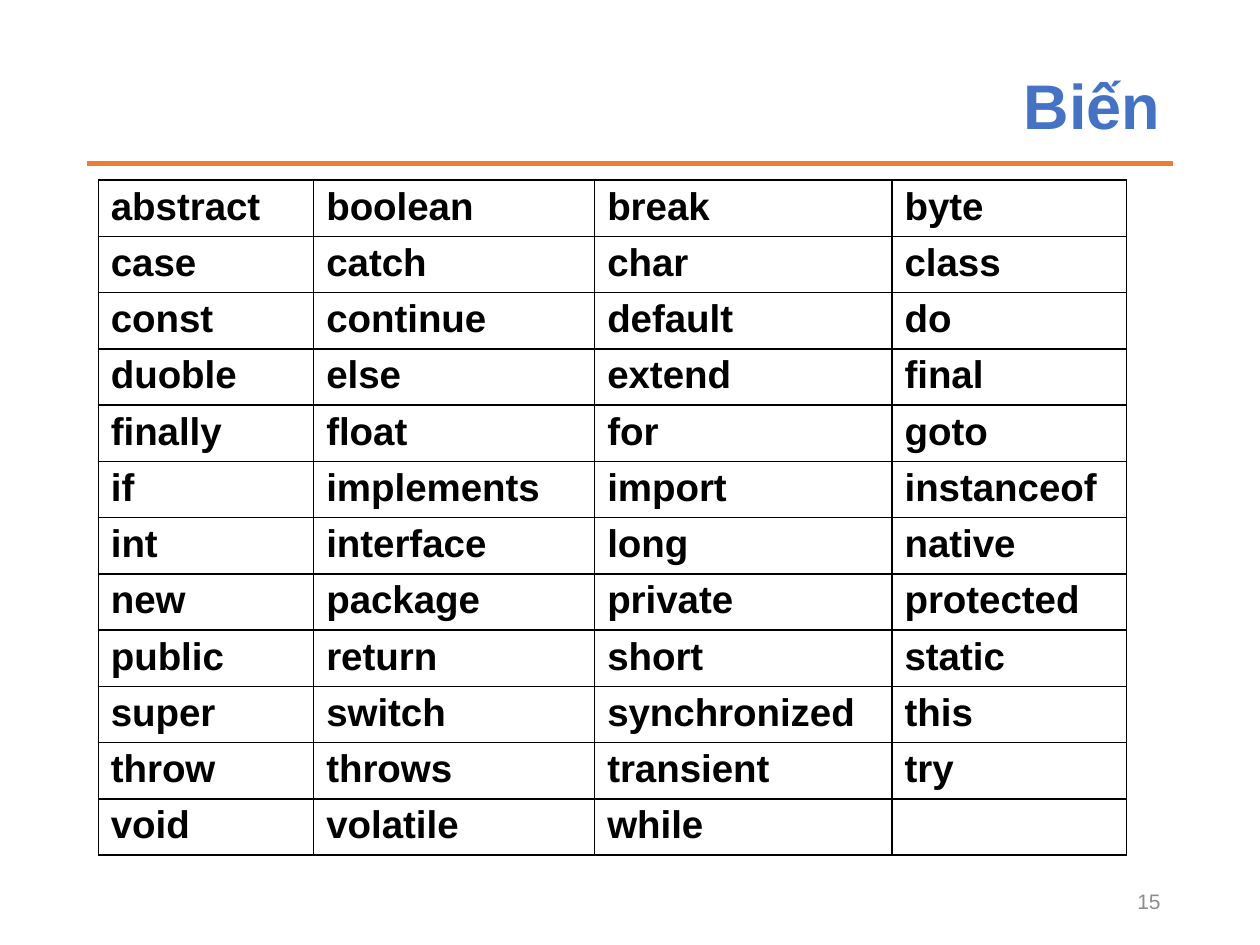
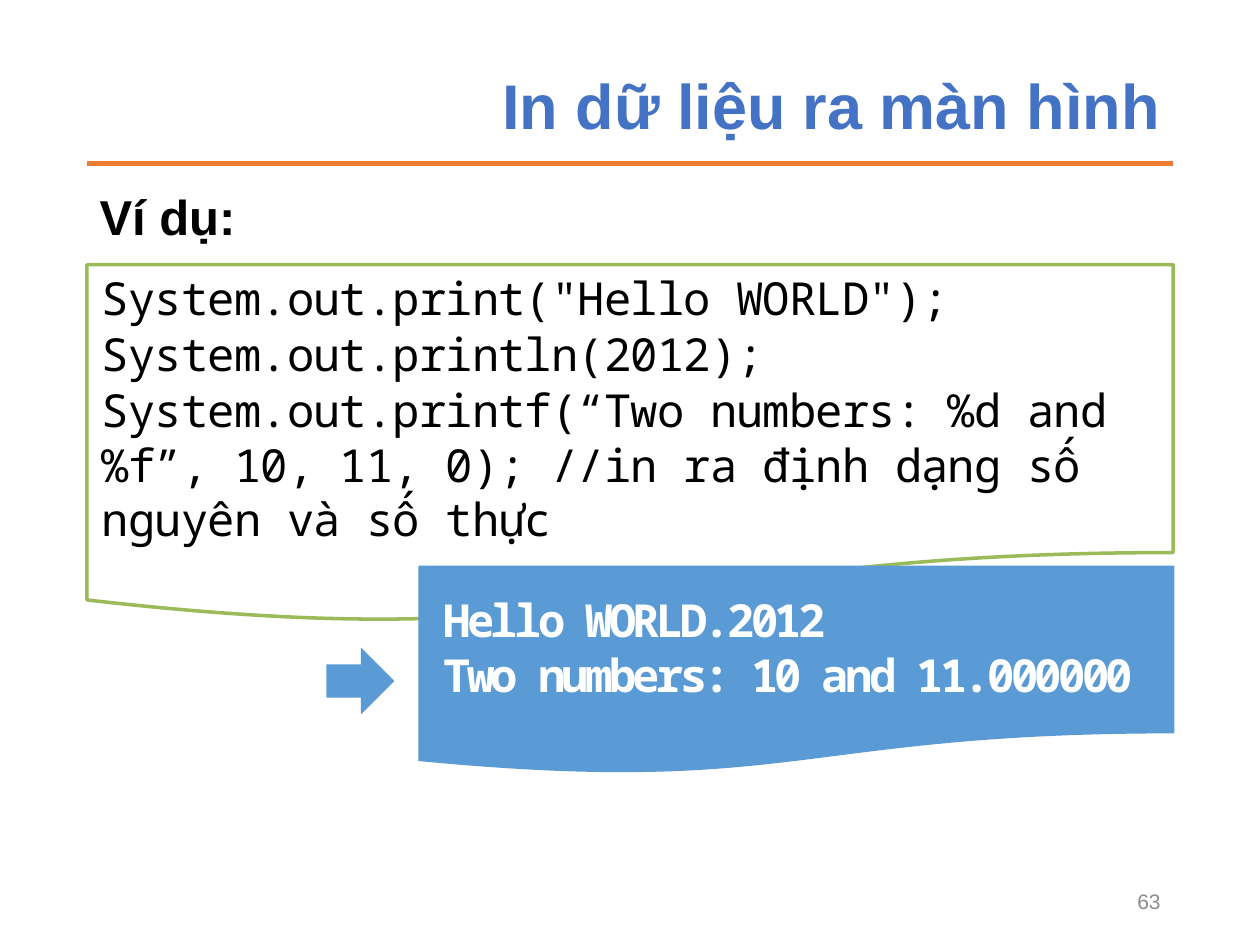
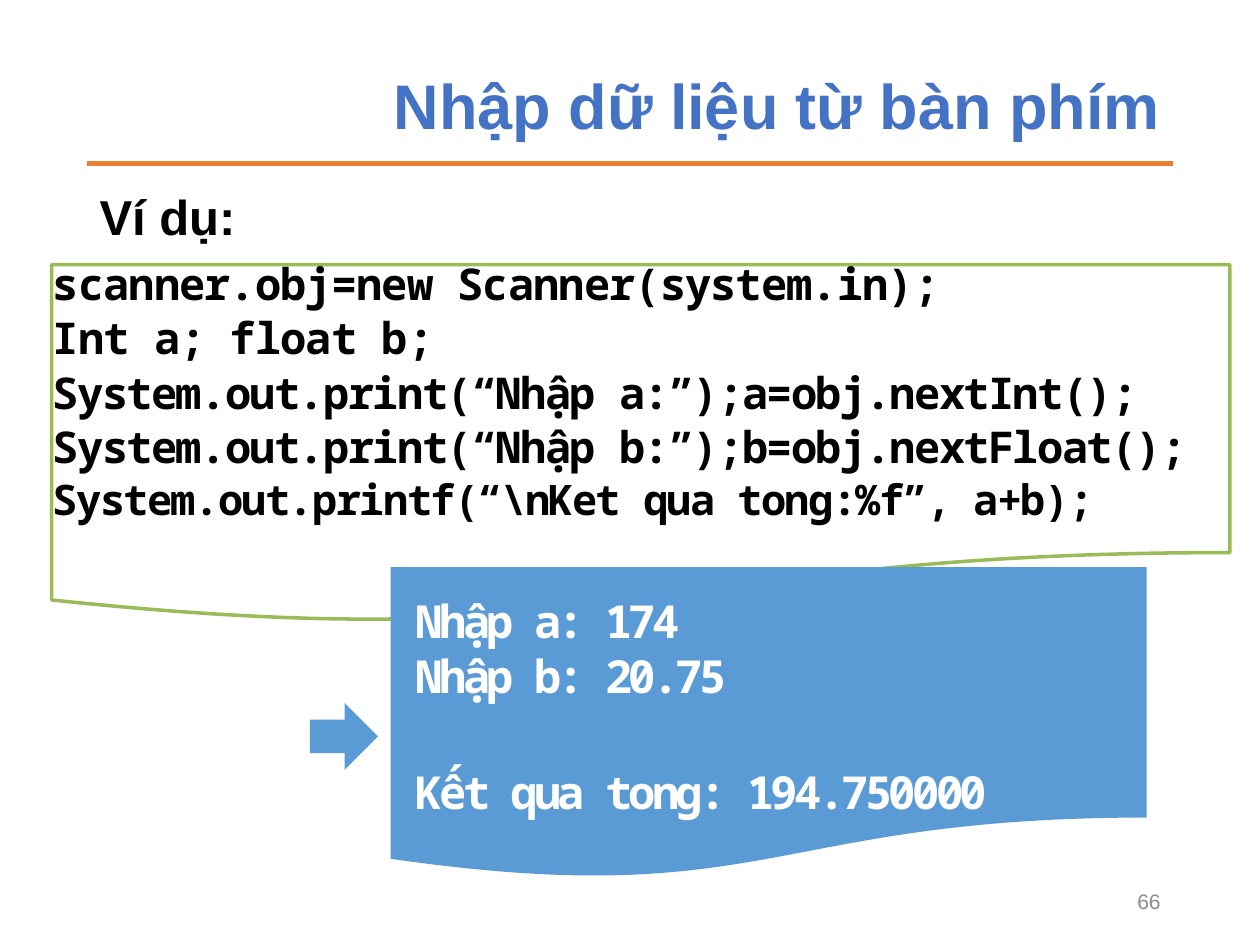
from lxml import etree
from pptx import Presentation
from pptx.dml.color import RGBColor
from pptx.enum.shapes import MSO_CONNECTOR, MSO_SHAPE
from pptx.enum.text import MSO_ANCHOR, MSO_AUTO_SIZE, PP_ALIGN
from pptx.oxml.ns import qn
from pptx.util import Inches, Pt

STRAIGHT = MSO_CONNECTOR.STRAIGHT
DOCUMENT = MSO_SHAPE.FLOWCHART_DOCUMENT
ARROW = MSO_SHAPE.RIGHT_ARROW
MIDDLE, TOP = MSO_ANCHOR.MIDDLE, MSO_ANCHOR.TOP
RIGHT, JUSTIFY = PP_ALIGN.RIGHT, PP_ALIGN.JUSTIFY
NO_FIT, GROW = MSO_AUTO_SIZE.NONE, MSO_AUTO_SIZE.SHAPE_TO_FIT_TEXT

TITLE_BLUE, ORANGE, GREEN, BLUE = "4472C4", "ED7D31", "9BBB59", "5B9BD5"
BLACK, WHITE, GRAY = "000000", "FFFFFF", "8C8C8C"
SANS, MONO = "Arial", "Noto Sans Mono"

MARGIN, CONTENT_WIDTH = 0.69, 8.62
TITLE_BOX = (MARGIN, 0.53, CONTENT_WIDTH, 0.68)
BODY_BOX = (MARGIN, 1.44, CONTENT_WIDTH, 5.7)
NUMBER_BOX = (7.06, 6.95, 2.25, 0.4)
RULE_TOP = 1.3
ARROW_SIZE = (0.54, 0.53)

KEYWORDS = """
abstract boolean break byte
case catch char class
const continue default do
duoble else extend final
finally float for goto
if implements import instanceof
int interface long native
new package private protected
public return short static
super switch synchronized this
throw throws transient try
void volatile while
"""


def color(value):
    """Turn a hex string into a colour."""
    return RGBColor.from_string(value)


def place(item, box):
    """Move a shape to a box given in inches."""
    item.left, item.top, item.width, item.height = map(Inches, box)


def style_para(para, size, ink, font=SANS, bold=False, tracking=None):
    """Format every run of a paragraph."""
    for span in para.runs:
        span.font.name, span.font.size, span.font.bold = font, Pt(size), bold
        span.font.color.rgb = color(ink)
        if tracking is not None:
            span._r.get_or_add_rPr().set("spc", str(round(tracking * 100)))


def set_up_layout(deck):
    """Place the title, the body and the orange rule on the shared layout."""
    layout = deck.slide_layouts[1]
    title, body = layout.placeholders[0], layout.placeholders[1]
    place(title, TITLE_BOX)
    place(body, BODY_BOX)
    title.text_frame.vertical_anchor = MIDDLE
    body.text_frame.vertical_anchor = TOP
    return layout


def add_rule(page, layout):
    """Draw the rule under the title and hand it to the layout."""
    y = Inches(RULE_TOP)
    rule = page.shapes.add_connector(
        STRAIGHT, Inches(MARGIN), y, Inches(MARGIN + CONTENT_WIDTH), y)
    rule.line.color.rgb = color(ORANGE)
    rule.line.width = Pt(2.75)
    etree.SubElement(rule.element.spPr, qn("a:effectLst"))
    layout.shapes.element.append(rule.element)


def add_page(deck, layout, title, number):
    """Add a slide with its title and page number."""
    page = deck.slides.add_slide(layout)
    frame = page.shapes.title.text_frame
    frame.text = title
    frame.auto_size = NO_FIT
    para = frame.paragraphs[0]
    para.alignment, para.line_spacing = RIGHT, 0.9
    style_para(para, 36, TITLE_BLUE, bold=True)

    frame = page.shapes.add_textbox(*map(Inches, NUMBER_BOX)).text_frame
    frame.text = str(number)
    frame.word_wrap = True
    frame.vertical_anchor = MIDDLE
    frame.paragraphs[0].alignment = RIGHT
    style_para(frame.paragraphs[0], 12, GRAY)
    return page


def add_lead(page, text):
    """Write the bold lead line in the body placeholder."""
    frame = page.placeholders[1].text_frame
    frame.text = text
    frame.auto_size = NO_FIT
    para = frame.paragraphs[0]
    para.level, para.alignment = 1, JUSTIFY
    para.line_spacing = Pt(33)
    para.space_before = para.space_after = Pt(3)
    props = para._p.get_or_add_pPr()
    props.set("marL", "0")
    props.set("indent", "0")
    etree.SubElement(props, qn("a:buNone"))
    style_para(para, 28, BLACK, bold=True)


def border_cell(cell):
    """Give a cell thin black borders on all sides."""
    props = cell._tc.get_or_add_tcPr()
    for index, side in enumerate(("lnL", "lnR", "lnT", "lnB")):
        line = etree.Element(qn("a:" + side), w=str(Pt(1)))
        fill = etree.SubElement(line, qn("a:solidFill"))
        etree.SubElement(fill, qn("a:srgbClr"), val=BLACK)
        props.insert(index, line)


def add_keyword_table(page, left, top, widths, row_height, rows):
    """Draw the grid of keywords."""
    table = page.shapes.add_table(
        len(rows), len(widths), Inches(left), Inches(top),
        Inches(sum(widths)), Inches(row_height * len(rows))).table
    table.first_row = table.horz_banding = False
    for column, width in zip(table.columns, widths):
        column.width = Inches(width)
    for row, words in zip(table.rows, rows):
        row.height = Inches(row_height)
        for cell in row.cells:
            cell.fill.background()
            cell.margin_top = cell.margin_bottom = Inches(0.04)
            border_cell(cell)
        for cell, word in zip(row.cells, words):
            cell.text = word
            style_para(cell.text_frame.paragraphs[0], 22, BLACK, bold=True)


def add_panel(page, preset, box, fill=None, outline=None):
    """Draw a preset shape that is either filled or outlined."""
    panel = page.shapes.add_shape(preset, *map(Inches, box))
    panel.shadow.inherit = False
    if fill:
        panel.fill.solid()
        panel.fill.fore_color.rgb = color(fill)
    else:
        panel.fill.background()
    if outline:
        panel.line.color.rgb = color(outline)
        panel.line.width = Pt(2)
    else:
        panel.line.fill.background()


def add_mono_text(page, box, lines, ink, bold):
    """Write lines of (text, size, tracking, space before) in monospace."""
    area = page.shapes.add_textbox(*map(Inches, box))
    frame = area.text_frame
    frame.text = "\n".join(line[0] for line in lines)
    frame.word_wrap = True
    frame.auto_size = GROW
    frame.margin_left = frame.margin_right = frame.margin_bottom = 0
    frame.margin_top = Inches(0.01)
    for para, (_, size, tracking, gap) in zip(frame.paragraphs, lines):
        para._p.get_or_add_pPr().set("marL", str(Inches(0.01)))
        para.space_before = Pt(gap)
        style_para(para, size, ink, MONO, bold, tracking)


def add_code(page, panel_box, text_box, lines, bold=False):
    """Draw the green code panel with its source lines."""
    add_panel(page, DOCUMENT, panel_box, outline=GREEN)
    add_mono_text(page, text_box, lines, BLACK, bold)


def add_output(page, box, text_height, arrow_at, lines):
    """Draw the blue output panel, its arrow and the printed lines."""
    left, top, width, _ = box
    add_panel(page, ARROW, arrow_at + ARROW_SIZE, fill=BLUE)
    add_panel(page, DOCUMENT, box, fill=BLUE)
    text_box = (left + 0.19, top + 0.2, width - 0.3, text_height)
    printed = [(text, 26, -2.1, gap) for text, gap in lines]
    add_mono_text(page, text_box, printed, WHITE, True)


def build_keywords(deck, layout):
    """Build the slide of reserved words."""
    page = add_page(deck, layout, "Biến", 15)
    body = page.placeholders[1].element
    body.getparent().remove(body)
    rows = [line.split() for line in KEYWORDS.strip().splitlines()]
    add_keyword_table(page, 0.78, 1.43, (1.71, 2.23, 2.36, 1.86), 0.44, rows)
    return page


def build_printing(deck, layout):
    """Build the slide on printing to the screen."""
    page = add_page(deck, layout, "In dữ liệu ra màn hình", 63)
    add_lead(page, "Ví dụ:")
    code = (
        'System.out.print("Hello WORLD");',
        "System.out.println(2012); ",
        "System.out.printf(“Two numbers: %d and %f”, 10, 11, 0); "
        "//in ra định dạng số nguyên và số thực",
    )
    add_code(page, (MARGIN, 2.1, CONTENT_WIDTH, 2.85), (0.8, 2.13, 8.4, 2.23),
             [(text, 26, -0.5, 1) for text in code])
    add_output(page, (3.32, 4.49, 6, 1.66), 0.89, (2.59, 5.14),
               [("Hello WORLD.2012", 1),
                ("Two numbers: 10 and 11.000000", 0)])


def build_reading(deck, layout):
    """Build the slide on reading from the keyboard."""
    page = add_page(deck, layout, "Nhập dữ liệu từ bàn phím", 66)
    add_lead(page, "Ví dụ:")
    code = [
        ("scanner.obj=new Scanner(system.in);", 25, -0.5, 1),
        ("Int a; float b; ", 25, -0.5, 1),
        ("System.out.print(“Nhập a:”);a=obj.nextInt();", 25, -0.9, 1),
        ("System.out.print(“Nhập b:”);b=obj.nextFloat();", 25, -0.9, 1),
        ("System.out.printf(“\\nKet qua tong:%f”, a+b);", 24, -0.9, 1),
    ]
    add_code(page, (0.41, 2.1, 9.35, 2.85), (0.41, 2.03, 9.63, 2.59),
             code, bold=True)
    add_output(page, (3.1, 4.5, 6, 2.48), 1.76, (2.46, 5.58),
               [("Nhập a: 174", 1), ("Nhập b: 20.75", 0),
                ("Kết qua tong: 194.750000", 35)])


def main():
    """Build the deck and save it."""
    deck = Presentation()
    deck.slide_width, deck.slide_height = Inches(10), Inches(7.5)
    layout = set_up_layout(deck)
    first_page = build_keywords(deck, layout)
    add_rule(first_page, layout)
    build_printing(deck, layout)
    build_reading(deck, layout)
    deck.save("out.pptx")


main()
